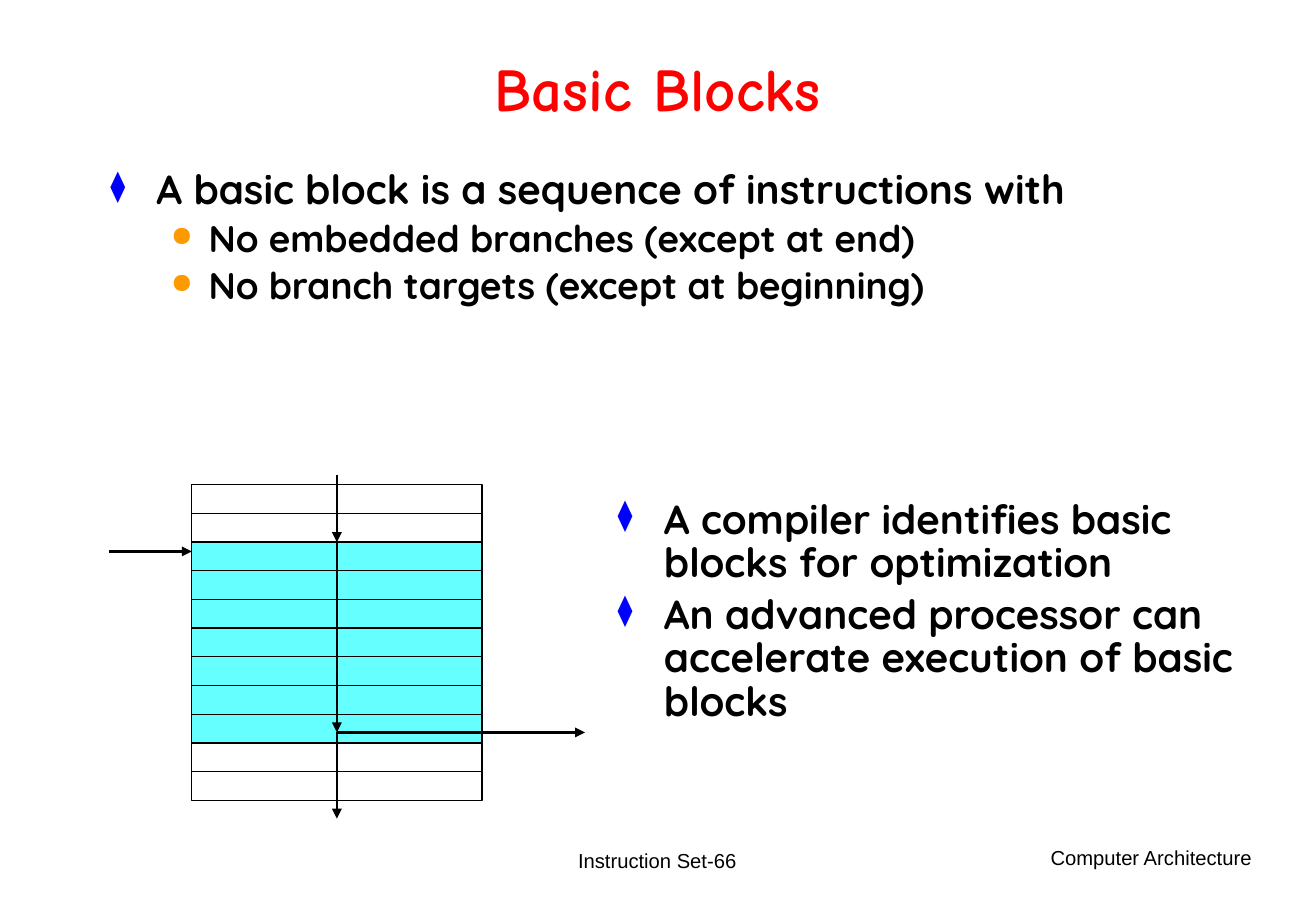
from dataclasses import dataclass

from lxml.etree import SubElement
from pptx import Presentation
from pptx.dml.color import RGBColor
from pptx.enum.shapes import MSO_CONNECTOR, MSO_SHAPE
from pptx.enum.text import MSO_ANCHOR, PP_ALIGN
from pptx.oxml.ns import qn
from pptx.shapes.autoshape import Shape
from pptx.shapes.connector import Connector
from pptx.slide import Slide
from pptx.util import Inches, Pt

COLORS = {
    "black": "000000",
    "title": "FF0000",
    "block": "66FFFF",
    "diamond": "0000FF",
    "dot": "FF9900",
}

STACK_LEFT, STACK_TOP, STACK_WIDTH, STACK_HEIGHT = 1.58, 3.99, 2.39, 2.6
ROW_COUNT = 11
BLOCK_ROWS = range(2, 9)
ROW_HEIGHT = STACK_HEIGHT / ROW_COUNT
FLOW_X = STACK_LEFT + STACK_WIDTH / 2
BLOCK_TOP = STACK_TOP + BLOCK_ROWS.start * ROW_HEIGHT
BRANCH_Y = 6.03
TARGET_Y = 4.54


@dataclass(frozen=True)
class Level:
    depth: int
    mark: str
    mark_color: str
    margin: float
    hanging: float
    size: float
    space_before: float


@dataclass(frozen=True)
class Line:
    text: str
    level: Level | None = None


@dataclass(frozen=True)
class Arrow:
    start: tuple[float, float]
    end: tuple[float, float]


POINT = Level(0, "⧫", "diamond", 0.38, 0.38, 24, 4.5)
SUBPOINT = Level(1, "●", "dot", 0.81, 0.31, 22, 4.1)

DEFINITION = [
    Line("A basic block is a sequence of instructions with", POINT),
    Line("No embedded branches (except at end)", SUBPOINT),
    Line("No branch targets (except at beginning)", SUBPOINT),
]
USES = [
    Line("A compiler identifies basic blocks for optimization", POINT),
    Line("An advanced processor can accelerate execution of basic blocks", POINT),
]

ENTRY = Arrow((FLOW_X, 3.91), (FLOW_X, BLOCK_TOP))
BODY = Arrow((FLOW_X, BLOCK_TOP), (FLOW_X, BRANCH_Y))
FALL_THROUGH = Arrow((FLOW_X, BRANCH_Y), (FLOW_X, 6.74))
BRANCH_OUT = Arrow((FLOW_X, BRANCH_Y), (4.82, BRANCH_Y))
BRANCH_IN = Arrow((0.9, TARGET_Y), (STACK_LEFT, TARGET_Y))


def color(name: str) -> RGBColor:
    return RGBColor.from_string(COLORS[name])


def add_bullet(paragraph, level: Level) -> None:
    properties = paragraph._p.get_or_add_pPr()
    properties.set("marL", str(Inches(level.margin)))
    properties.set("indent", str(-Inches(level.hanging)))
    mark_color = SubElement(properties, qn("a:buClr"))
    SubElement(mark_color, qn("a:srgbClr"), val=COLORS[level.mark_color])
    SubElement(properties, qn("a:buSzPct"), val="75000")
    SubElement(properties, qn("a:buChar"), char=level.mark)


def add_text(
    slide: Slide,
    lines: list[Line],
    left: float,
    top: float,
    width: float,
    height: float,
    *,
    font: str = "Quicksand",
    size: float = 24,
    ink: str = "black",
    bold: bool = True,
    align: PP_ALIGN = PP_ALIGN.LEFT,
    anchor: MSO_ANCHOR = MSO_ANCHOR.TOP,
    line_spacing: float = 0.9,
) -> None:
    box = slide.shapes.add_textbox(
        Inches(left), Inches(top), Inches(width), Inches(height)
    )
    frame = box.text_frame
    frame.word_wrap = True
    frame.vertical_anchor = anchor
    for index, line in enumerate(lines):
        paragraph = frame.add_paragraph() if index else frame.paragraphs[0]
        paragraph.alignment = align
        paragraph.line_spacing = line_spacing
        if line.level:
            paragraph.level = line.level.depth
            add_bullet(paragraph, line.level)
            if index:
                paragraph.space_before = Pt(line.level.space_before)
        run = paragraph.add_run()
        run.text = line.text
        run.font.name = font
        run.font.size = Pt(line.level.size if line.level else size)
        run.font.bold = bold
        run.font.color.rgb = color(ink)


def add_row(slide: Slide, index: int) -> Shape:
    row = slide.shapes.add_shape(
        MSO_SHAPE.RECTANGLE,
        Inches(STACK_LEFT),
        Inches(STACK_TOP + index * ROW_HEIGHT),
        Inches(STACK_WIDTH),
        Inches(ROW_HEIGHT),
    )
    row.shadow.inherit = False
    row.line.color.rgb = color("black")
    row.line.width = Pt(0.75)
    if index in BLOCK_ROWS:
        row.fill.solid()
        row.fill.fore_color.rgb = color("block")
    else:
        row.fill.background()
    return row


def add_arrow(slide: Slide, arrow: Arrow) -> Connector:
    connector = slide.shapes.add_connector(
        MSO_CONNECTOR.STRAIGHT,
        *(Inches(value) for value in arrow.start + arrow.end),
    )
    connector.line.color.rgb = color("black")
    connector.line.width = Pt(1.5)
    SubElement(connector.line._get_or_add_ln(), qn("a:tailEnd"), type="triangle")
    SubElement(connector._element.spPr, qn("a:effectLst"))
    return connector


def main() -> None:
    presentation = Presentation()
    presentation.slide_width = Inches(10.84)
    presentation.slide_height = Inches(7.5)
    slide = presentation.slides.add_slide(presentation.slide_layouts[6])

    add_text(slide, [Line("Computer Architecture")], 8.12, 6.91, 2.29, 0.5,
             font="Arial", size=12, bold=False, align=PP_ALIGN.RIGHT, line_spacing=1.0)
    add_text(slide, [Line("Instruction Set-66")], 3.7, 6.83, 3.43, 0.5,
             font="Arial", size=12, bold=False, align=PP_ALIGN.CENTER,
             anchor=MSO_ANCHOR.MIDDLE, line_spacing=1.0)
    add_text(slide, [Line("Basic Blocks")], 0.81, 0.27, 9.21, 0.99,
             font="Comic Neue", size=36, ink="title", align=PP_ALIGN.CENTER,
             anchor=MSO_ANCHOR.MIDDLE, line_spacing=0.85)
    add_text(slide, DEFINITION, 0.81, 1.35, 9.21, 2.5)

    rows = [add_row(slide, index) for index in range(ROW_COUNT)]
    first_instruction = rows[BLOCK_ROWS.start]
    add_arrow(slide, ENTRY).end_connect(first_instruction, 0)
    add_arrow(slide, BODY).begin_connect(first_instruction, 0)
    for arrow in (FALL_THROUGH, BRANCH_OUT, BRANCH_IN):
        add_arrow(slide, arrow)

    add_text(slide, USES, 4.99, 4.06, 5.53, 2.6)

    presentation.save("out.pptx")


if __name__ == "__main__":
    main()
